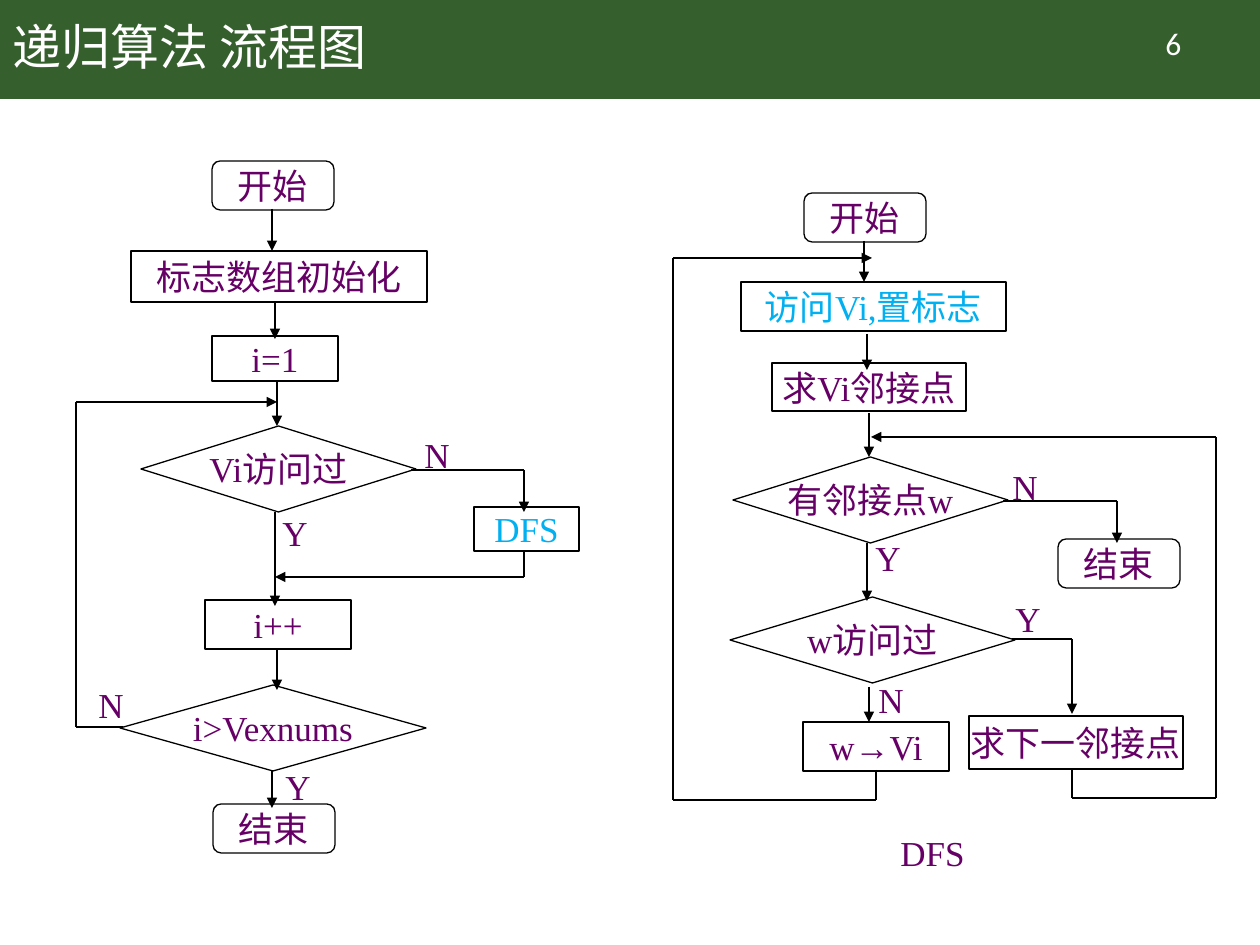
from lxml import etree
from pptx import Presentation
from pptx.dml.color import RGBColor
from pptx.enum.shapes import MSO_CONNECTOR, MSO_SHAPE
from pptx.enum.text import MSO_ANCHOR, MSO_AUTO_SIZE, PP_ALIGN
from pptx.oxml.ns import qn
from pptx.util import Emu, Pt

EMU_PER_PX = 914400 / 126
TITLE_ONLY = 5
CJK_FONT, SERIF_FONT, NUMBER_FONT = "Noto Sans CJK SC", "Times New Roman", "Calibri"
GREEN, WHITE, BLACK, PURPLE, BLUE = "365F2E", "FFFFFF", "000000", "660066", "00B0F0"
TERMINAL = MSO_SHAPE.FLOWCHART_ALTERNATE_PROCESS
PROCESS = MSO_SHAPE.FLOWCHART_PROCESS
DECISION = MSO_SHAPE.FLOWCHART_DECISION
STRAIGHT = MSO_CONNECTOR.STRAIGHT
LEFT, CENTER = PP_ALIGN.LEFT, PP_ALIGN.CENTER
MIDDLE, TOP = MSO_ANCHOR.MIDDLE, MSO_ANCHOR.TOP
FIT_SHAPE, NO_FIT = MSO_AUTO_SIZE.SHAPE_TO_FIT_TEXT, MSO_AUTO_SIZE.NONE
TERMINAL_SIZE, LABEL_SIZE = (122, 49), (50, 54)

MAIN_NODES = [
    (TERMINAL, "开始", 212, 161, *TERMINAL_SIZE, PURPLE),
    (PROCESS, "标志数组初始化", 131, 251, 296, 51, PURPLE),
    (PROCESS, "i=1", 212, 336, 126, 45, PURPLE),
    (DECISION, "Vi访问过", 141, 426, 275, 86, PURPLE),
    (PROCESS, "DFS", 474, 507, 105, 44, BLUE),
    (PROCESS, "i++", 205, 600, 146, 49, PURPLE),
    (DECISION, "i>Vexnums", 120, 685, 306, 86, PURPLE),
    (TERMINAL, "结束", 213, 804, *TERMINAL_SIZE, PURPLE),
]
MAIN_ROUTES = [
    [(272, 209), (272, 251)],
    [(275, 302), (275, 339)],
    [(277, 382), (277, 426)],
    [(275, 512), (275, 606)],
    [(411, 470), (524, 470), (524, 512)],
    [(524, 551), (524, 577), (275, 577)],
    [(277, 650), (277, 690)],
    [(123, 727), (76, 727), (76, 402), (277, 402)],
    [(272, 771), (272, 808)],
]
MAIN_LABELS = [
    ("N", 412, 427, *LABEL_SIZE),
    ("N", 86, 677, *LABEL_SIZE),
    ("Y", 270, 505, *LABEL_SIZE),
    ("Y", 273, 759, *LABEL_SIZE),
]
DFS_NODES = [
    (TERMINAL, "开始", 804, 193, *TERMINAL_SIZE, PURPLE),
    (PROCESS, "访问Vi,置标志", 741, 282, 265, 49, BLUE),
    (PROCESS, "求Vi邻接点", 772, 363, 194, 48, PURPLE),
    (DECISION, "有邻接点w", 733, 457, 275, 86, PURPLE),
    (PROCESS, "求下一邻接点", 969, 716, 214, 53, PURPLE),
    (PROCESS, "w→Vi", 803, 722, 146, 49, PURPLE),
    (DECISION, "w访问过", 730, 597, 285, 86, PURPLE),
    (TERMINAL, "结束", 1058, 539, *TERMINAL_SIZE, PURPLE),
]
DFS_ROUTES = [
    [(864, 241), (864, 282)],
    [(867, 334), (867, 370)],
    [(869, 413), (869, 457)],
    [(867, 543), (867, 601)],
    [(1003, 501), (1117, 501), (1117, 543)],
    [(876, 770), (876, 800), (673, 800), (673, 258), (872, 258)],
    [(869, 687), (869, 722)],
    [(1012, 639), (1072, 639), (1072, 714)],
    [(1072, 769), (1072, 798), (1216, 798), (1216, 437), (871, 437)],
]
DFS_LABELS = [
    ("N", 1000, 459, *LABEL_SIZE),
    ("Y", 863, 530, *LABEL_SIZE),
    ("N", 866, 672, *LABEL_SIZE),
    ("Y", 1003, 591, *LABEL_SIZE),
    ("DFS", 888, 825, 89, 54),
]


def px(*lengths):
    """Turn pixel lengths into EMU."""
    return [Emu(round(length * EMU_PER_PX)) for length in lengths]


def color(hex_string):
    """Turn a hex string into a colour."""
    return RGBColor.from_string(hex_string)


def write(shape, text, size, hex_string, latin=SERIF_FONT, align=CENTER,
          anchor=MIDDLE, wrap=False):
    """Put one formatted paragraph into a shape."""
    frame = shape.text_frame
    frame.text = text
    frame.word_wrap = wrap
    frame.vertical_anchor = anchor
    paragraph = frame.paragraphs[0]
    paragraph.alignment = align
    for run in paragraph.runs:
        run.font.size = Pt(size)
        run.font.color.rgb = color(hex_string)
        run.font.name = latin
    for properties in shape.element.iter(qn("a:rPr")):
        etree.SubElement(properties, qn("a:ea"), typeface=CJK_FONT)


def add_header(slide, text, number):
    """Add the banner, the title and the slide number."""
    title = slide.shapes.title
    banner = slide.shapes.add_shape(MSO_SHAPE.RECTANGLE, *px(0, 0, 1260, 99))
    banner.shadow.inherit = False
    banner.fill.solid()
    banner.fill.fore_color.rgb = color(GREEN)
    banner.line.fill.background()
    title.element.addprevious(banner.element)
    title.left, title.top, title.width, title.height = px(0, 0, 1086, 99)
    write(title, text, 28, WHITE, CJK_FONT, LEFT, wrap=True)
    title.text_frame.auto_size = NO_FIT
    title.text_frame.paragraphs[0].line_spacing = 0.9
    number_box = slide.shapes.add_textbox(*px(1098, 18, 151, 50))
    write(number_box, number, 18, WHITE, NUMBER_FONT, anchor=TOP, wrap=True)


def add_node(shapes, kind, text, left, top, width, height, text_color):
    """Add one outlined flowchart box."""
    node = shapes.add_shape(kind, *px(left, top, width, height))
    node.shadow.inherit = False
    node.fill.background()
    node.line.color.rgb = color(BLACK)
    node.line.width = Pt(0.75)
    latin = SERIF_FONT if any(letter.isascii() for letter in text) else CJK_FONT
    write(node, text, 20, text_color, latin)


def add_route(shapes, points):
    """Join points with straight lines and end in an arrowhead."""
    for start, end in zip(points, points[1:]):
        connector = shapes.add_connector(STRAIGHT, *px(*start, *end))
        connector.line.color.rgb = color(BLACK)
        connector.line.width = Pt(0.75)
        etree.SubElement(connector.element.spPr, qn("a:effectLst"))
    outline = connector.element.spPr.find(qn("a:ln"))
    etree.SubElement(outline, qn("a:tailEnd"), type="triangle")


def add_label(shapes, text, left, top, width, height):
    """Add one branch label or caption."""
    label = shapes.add_textbox(*px(left, top, width, height))
    write(label, text, 20, PURPLE)
    label.text_frame.margin_left = label.text_frame.margin_right = 0
    label.text_frame.auto_size = FIT_SHAPE


def add_flowchart(slide, nodes, routes, labels):
    """Add a grouped flowchart."""
    shapes = slide.shapes.add_group_shape().shapes
    for node in nodes:
        add_node(shapes, *node)
    for points in routes:
        add_route(shapes, points)
    for label in labels:
        add_label(shapes, *label)


def main():
    """Build and save the presentation."""
    presentation = Presentation()
    presentation.slide_width, presentation.slide_height = px(1260, 945)
    slide = presentation.slides.add_slide(presentation.slide_layouts[TITLE_ONLY])
    add_header(slide, "递归算法 流程图", "6")
    add_flowchart(slide, DFS_NODES, DFS_ROUTES, DFS_LABELS)
    add_flowchart(slide, MAIN_NODES, MAIN_ROUTES, MAIN_LABELS)
    presentation.save("out.pptx")


if __name__ == "__main__":
    main()
